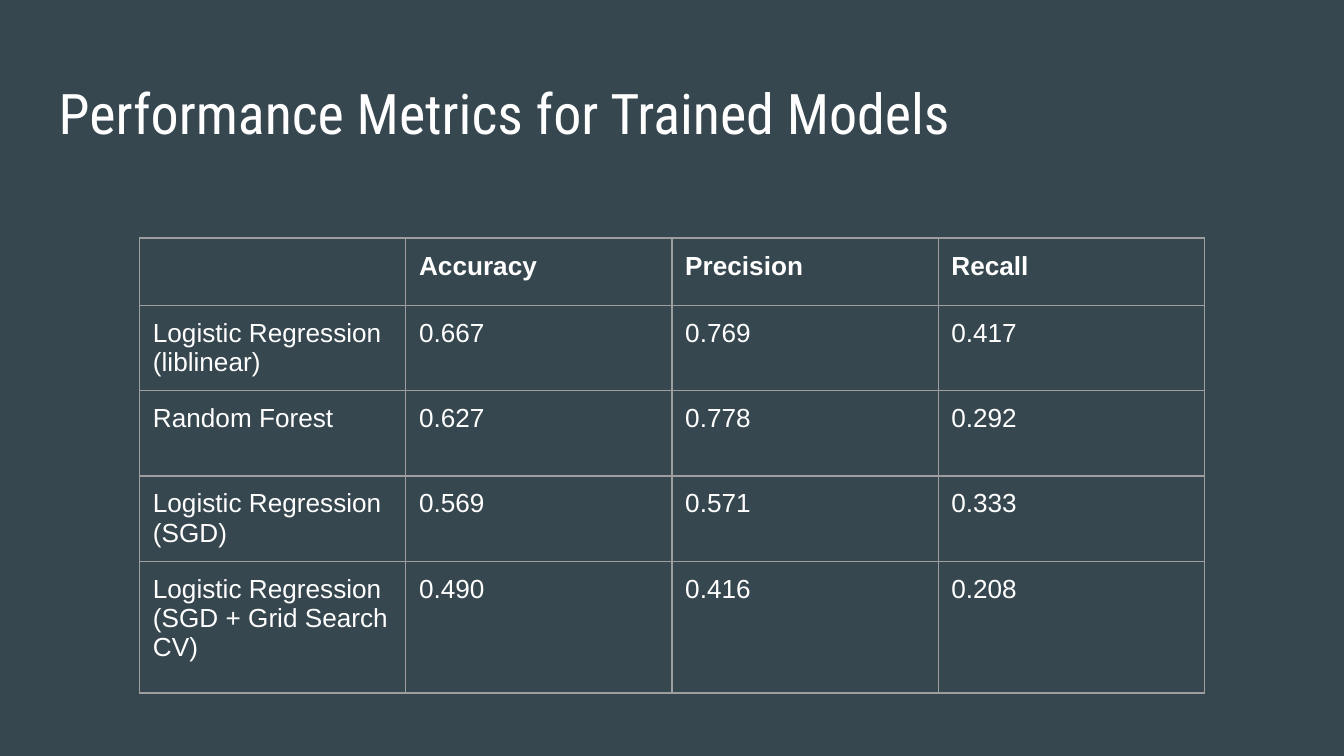
from dataclasses import dataclass

from lxml import etree
from pptx import Presentation, util as u
from pptx.dml.color import RGBColor
from pptx.enum import text
from pptx.oxml.ns import qn

BACKGROUND, WHITE, BORDER = "37474F", "FFFFFF", "9E9E9E"
TITLE_FORMAT = {"name": "Roboto Condensed", "size": u.Pt(30), "bold": False}
BODY_FORMAT = {"name": "Arial", "size": u.Pt(14), "bold": False}
HEADER_FORMAT = {**BODY_FORMAT, "bold": True}
INSET = u.Cm(0.25)
MARGINS = {f"margin_{side}": INSET for side in ("left", "right", "top", "bottom")}


@dataclass
class MetricRow:
    cells: tuple[str, ...]
    height: float  # centimetres
    font_format: dict


ROWS = [
    MetricRow(("", "Accuracy", "Precision", "Recall"), 1.21, HEADER_FORMAT),
    MetricRow(("Logistic Regression (liblinear)", "0.667", "0.769", "0.417"), 1.61, BODY_FORMAT),
    MetricRow(("Random Forest", "0.627", "0.778", "0.292"), 1.61, BODY_FORMAT),
    MetricRow(("Logistic Regression (SGD)", "0.569", "0.571", "0.333"), 1.61, BODY_FORMAT),
    MetricRow(("Logistic Regression (SGD + Grid Search CV)", "0.490", "0.416", "0.208"), 2.49, BODY_FORMAT),
]


def color(value: str) -> RGBColor:
    return RGBColor.from_string(value)


def set_attributes(target, values: dict) -> None:
    for name, value in values.items():
        setattr(target, name, value)


def write(paragraph, content: str, font_format: dict) -> None:
    if content:
        run = paragraph.add_run()
        run.text = content
        set_attributes(run.font, font_format)
        run.font.color.rgb = color(WHITE)


def add_borders(cell) -> None:
    properties = cell._tc.get_or_add_tcPr()
    for tag in ("a:lnL", "a:lnR", "a:lnT", "a:lnB"):
        line = etree.SubElement(properties, qn(tag), w=str(u.Pt(0.75)))
        fill = etree.SubElement(line, qn("a:solidFill"))
        etree.SubElement(fill, qn("a:srgbClr"), val=BORDER)


def add_title(slide, content: str) -> None:
    title = slide.shapes.title
    set_attributes(title, {"left": u.Cm(0.86), "top": u.Cm(1.24),
                           "width": u.Cm(23.67), "height": u.Cm(1.6)})
    frame = title.text_frame
    set_attributes(frame, {**MARGINS, "word_wrap": True,
                           "auto_size": text.MSO_AUTO_SIZE.NONE,
                           "vertical_anchor": text.MSO_ANCHOR.TOP})
    paragraph = frame.paragraphs[0]
    paragraph.alignment = text.PP_ALIGN.LEFT
    write(paragraph, content, TITLE_FORMAT)


def add_metrics_table(slide, rows: list[MetricRow]) -> None:
    column_count = len(rows[0].cells)
    column_width = u.Cm(5.03)
    height = u.Cm(sum(row.height for row in rows))
    table = slide.shapes.add_table(len(rows), column_count, u.Cm(2.64), u.Cm(4.5),
                                   column_width * column_count, height).table
    set_attributes(table, {"first_row": False, "horz_banding": False})
    for column in table.columns:
        column.width = column_width
    for table_row, row in zip(table.rows, rows):
        table_row.height = u.Cm(row.height)
        for cell, content in zip(table_row.cells, row.cells):
            set_attributes(cell, {**MARGINS, "vertical_anchor": text.MSO_ANCHOR.TOP})
            add_borders(cell)
            cell.fill.background()
            write(cell.text_frame.paragraphs[0], content, row.font_format)


def main() -> None:
    # Slide and background
    presentation = Presentation()
    set_attributes(presentation, {"slide_width": u.Cm(25.4), "slide_height": u.Cm(14.29)})
    slide = presentation.slides.add_slide(presentation.slide_layouts[5])
    slide.background.fill.solid()
    slide.background.fill.fore_color.rgb = color(BACKGROUND)

    # Content
    add_title(slide, "Performance Metrics for Trained Models")
    add_metrics_table(slide, ROWS)
    presentation.save("out.pptx")


if __name__ == "__main__":
    main()
